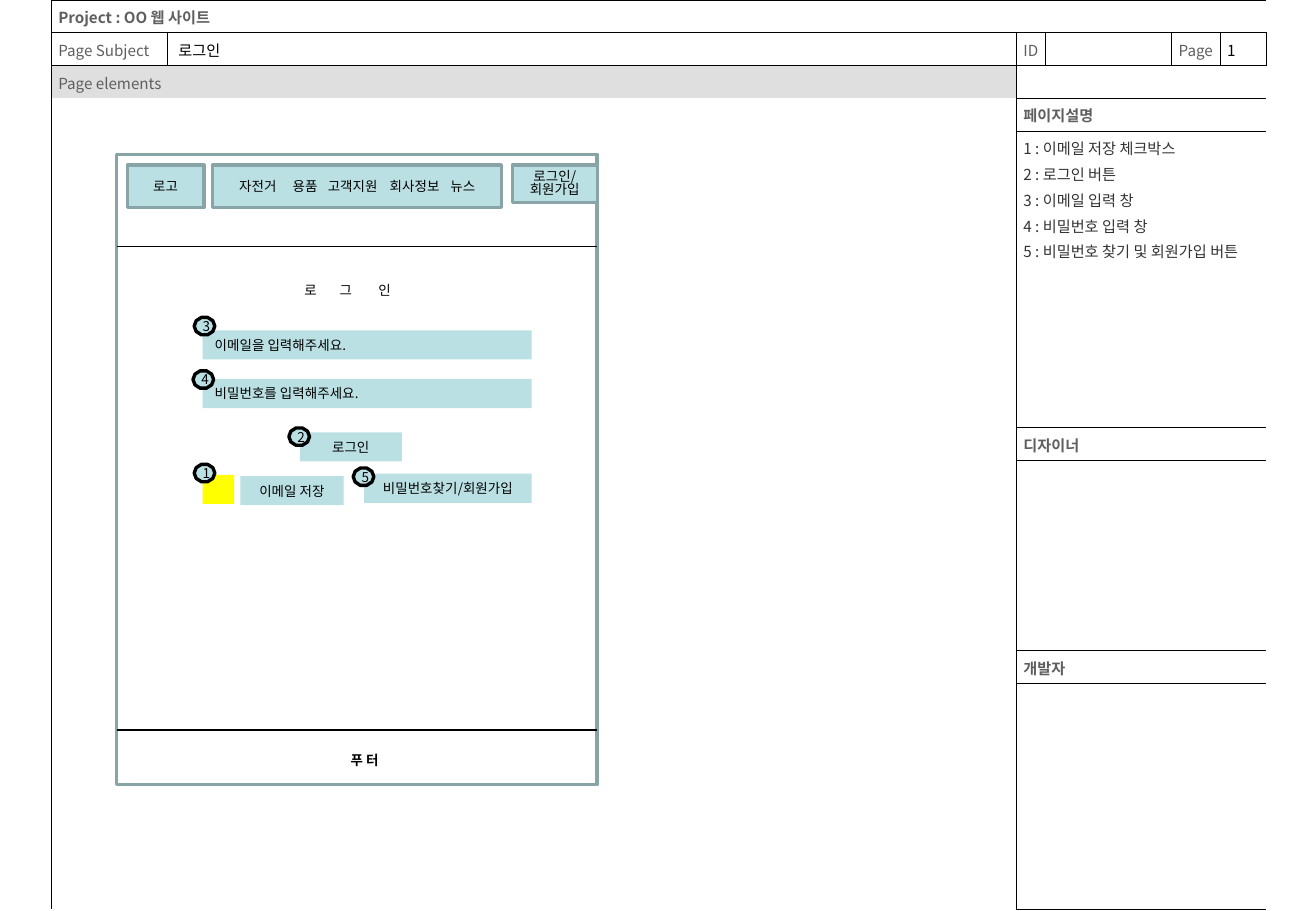
from dataclasses import dataclass
from math import cos, pi, sin

from lxml import etree
from pptx import Presentation
from pptx.dml.color import RGBColor
from pptx.enum.shapes import MSO_CONNECTOR, MSO_SHAPE
from pptx.enum.text import MSO_ANCHOR, PP_ALIGN
from pptx.oxml.ns import qn
from pptx.util import Inches, Pt

RECTANGLE = MSO_SHAPE.RECTANGLE
STRAIGHT = MSO_CONNECTOR.STRAIGHT
TOP, MIDDLE = MSO_ANCHOR.TOP, MSO_ANCHOR.MIDDLE
LEFT, CENTER = PP_ALIGN.LEFT, PP_ALIGN.CENTER


@dataclass(frozen=True)
class Theme:
    """Fonts, type sizes, line widths and colours of the wireframe."""
    font: str = "Noto Sans CJK KR"
    form_size: float = 9
    mockup_size: float = 8
    border: float = 0.45
    rule: float = 0.75
    outline: float = 2
    black: str = "000000"
    white: str = "FFFFFF"
    label: str = "5F5F5F"
    note: str = "333333"
    band: str = "DFDFDF"
    aqua: str = "BBE0E3"
    slate: str = "89A4A7"
    yellow: str = "FFFF00"


class WireframePage:
    """Draws form cells and mockup elements on one slide."""

    def __init__(self, page, theme):
        self.shapes = page.shapes
        self.theme = theme

    def set_text(self, frame, text, size, color, bold=False, align=LEFT,
                 gap=0, spacing=None, tabs=()):
        """Fill a text frame with one paragraph per line."""
        frame.word_wrap = True
        for index, line in enumerate(text.split("\n")):
            para = frame.paragraphs[0] if index == 0 else frame.add_paragraph()
            para.text = line
            para.alignment = align
            para.space_before = Pt(gap if index else 0)
            if spacing:
                para.line_spacing = spacing
            if tabs:
                stops = etree.SubElement(para._p.get_or_add_pPr(), qn("a:tabLst"))
                for stop in tabs:
                    etree.SubElement(stops, qn("a:tab"), pos=str(Inches(stop)), algn="l")
            font = para.font
            font.name, font.size, font.bold = self.theme.font, Pt(size), bold
            font.color.rgb = RGBColor.from_string(color)
            latin = para._p.pPr.find(qn("a:defRPr")).find(qn("a:latin"))
            east_asian = etree.Element(qn("a:ea"), typeface=self.theme.font)
            latin.addnext(east_asian)

    def paint(self, shape, fill, line=None):
        """Set the fill and outline of a shape and drop its shadow."""
        shape.shadow.inherit = False
        shape.fill.solid()
        shape.fill.fore_color.rgb = RGBColor.from_string(fill)
        if line:
            shape.line.color.rgb = RGBColor.from_string(line)
            shape.line.width = Pt(self.theme.outline)
        else:
            shape.line.fill.background()

    def box(self, area, fill, text="", line=None, align=CENTER, inset=0.1, **style):
        """Add a rectangle with optional text."""
        shape = self.shapes.add_shape(RECTANGLE, *map(Inches, area))
        self.paint(shape, fill, line)
        if text:
            self.place_text(shape.text_frame, text, inset, align=align, **style)

    def label(self, area, text, **style):
        """Add a text box."""
        box = self.shapes.add_textbox(*map(Inches, area))
        self.place_text(box.text_frame, text, 0.1, **style)

    def place_text(self, frame, text, inset, **style):
        """Set mockup text centred vertically in its frame."""
        frame.vertical_anchor = MIDDLE
        frame.margin_left = Inches(inset)
        frame.margin_top = frame.margin_bottom = 0
        self.set_text(frame, text, self.theme.mockup_size, self.theme.black, **style)

    def rule(self, left, right, top):
        """Add a horizontal line."""
        line = self.shapes.add_connector(STRAIGHT, *map(Inches, (left, top, right, top)))
        line.line.color.rgb = RGBColor.from_string(self.theme.black)
        line.line.width = Pt(self.theme.rule)
        etree.SubElement(line._element.spPr, qn("a:effectLst"))

    def marker(self, number, left, top, width=0.17, height=0.15):
        """Add a numbered ten-sided marker."""
        points = [(Inches(left + width / 2 * (1 - cos(step * pi / 5))),
                   Inches(top + height / 2 * (1 - sin(step * pi / 5))))
                  for step in range(10)]
        builder = self.shapes.build_freeform(*points[0])
        builder.add_line_segments(points[1:], close=True)
        shape = builder.convert_to_shape()
        self.paint(shape, self.theme.aqua, self.theme.black)
        shape.text_frame.margin_right = 0
        self.place_text(shape.text_frame, str(number), 0.03, align=CENTER)

    def form(self, left, top, columns, rows):
        """Add an unstyled table and return it."""
        area = map(Inches, (left, top, sum(columns), sum(rows)))
        table = self.shapes.add_table(len(rows), len(columns), *area).table
        table.first_row = table.horz_banding = False
        for column, width in zip(table.columns, columns):
            column.width = Inches(width)
        for row, height in zip(table.rows, rows):
            row.height = Inches(height)
        return table

    def field(self, table, first, last, text="", color=None, bold=False,
              fill=None, open_sides="", left=0.06, right=0.06, anchor=TOP):
        """Merge a block of cells, border its outer edges and set its text."""
        (top_row, left_column), (bottom_row, right_column) = first, last
        for row in range(top_row, bottom_row + 1):
            for column in range(left_column, right_column + 1):
                cell = table.cell(row, column)
                edges = {"L": column == left_column, "R": column == right_column,
                         "T": row == top_row, "B": row == bottom_row}
                for side, outer in edges.items():
                    self.border(cell, side, outer and side not in open_sides)
                if fill:
                    cell.fill.solid()
                    cell.fill.fore_color.rgb = RGBColor.from_string(fill)
                else:
                    cell.fill.background()
                cell.margin_left, cell.margin_right = Inches(left), Inches(right)
                cell.margin_top, cell.margin_bottom = Inches(0.05), Inches(0.03)
                cell.vertical_anchor = anchor
                self.set_text(cell.text_frame, text if (row, column) == first else "",
                              self.theme.form_size, color or self.theme.label, bold, gap=2.2)
        if first != last:
            table.cell(*first).merge(table.cell(*last))

    def border(self, cell, side, visible):
        """Draw or clear one side of a cell."""
        line = etree.SubElement(cell._tc.get_or_add_tcPr(), qn(f"a:ln{side}"),
                                w=str(Pt(self.theme.border)))
        if visible:
            solid = etree.SubElement(line, qn("a:solidFill"))
            etree.SubElement(solid, qn("a:srgbClr"), val=self.theme.black)
        else:
            etree.SubElement(line, qn("a:noFill"))


def draw_form(page, theme):
    """Draw the specification form around the mockup."""
    table = page.form(0.42, 0, [0.96, 6.99, 0.24, 1.04, 0.4, 0.38],
                      [0.27] * 4 + [2.44, 0.27, 1.57, 0.27, 1.86])
    notes = "\n".join(["1 : 이메일 저장 체크박스", "2 : 로그인 버튼", "3 : 이메일 입력 창",
                       "4 : 비밀번호 입력 창", "5 : 비밀번호 찾기 및 회원가입 버튼"])
    page.field(table, (0, 0), (0, 5), "Project : OO 웹 사이트", bold=True)
    page.field(table, (1, 0), (1, 0), "Page Subject")
    page.field(table, (1, 1), (1, 1), "로그인", theme.black, left=0.09)
    page.field(table, (1, 2), (1, 2), "ID", right=0.03)
    page.field(table, (1, 3), (1, 3))
    page.field(table, (1, 4), (1, 4), "Page", right=0.03)
    page.field(table, (1, 5), (1, 5), "1", theme.black, anchor=MIDDLE)
    page.field(table, (2, 0), (2, 1), "Page elements", fill=theme.band, open_sides="B")
    page.field(table, (3, 0), (8, 1), open_sides="T")
    page.field(table, (2, 2), (2, 5))
    sections = [("페이지설명", notes), ("디자이너", ""), ("개발자", "")]
    for row, (heading, body) in zip(range(3, 9, 2), sections):
        page.field(table, (row, 2), (row, 5), heading, bold=True)
        page.field(table, (row + 1, 2), (row + 1, 5), body, theme.note)


def draw_mockup(page, theme):
    """Draw the login screen mockup and its numbered markers."""
    page.box((0.96, 1.27, 3.96, 5.19), theme.white, line=theme.slate)
    for top in (2.03, 6.01):
        page.rule(0.96, 4.92, top)
    page.label((2.79, 6.14, 1.72, 0.24), "푸 터", bold=True)
    page.label((2.41, 2.27, 1.8, 0.24), "로\t그\t인", tabs=(0.29, 0.61))
    for top, prompt in ((2.72, "이메일을 입력해주세요."), (3.12, "비밀번호를 입력해주세요.")):
        page.box((1.67, top, 2.71, 0.24), theme.aqua, prompt, align=LEFT)
    page.box((2.47, 3.56, 0.84, 0.24), theme.aqua, "로그인")
    page.box((1.67, 3.91, 0.26, 0.24), theme.yellow)
    page.box((1.98, 3.92, 0.85, 0.24), theme.aqua, "이메일 저장")
    page.box((3, 3.9, 1.38, 0.24), theme.aqua, "비밀번호찾기/회원가입")
    page.box((1.05, 1.36, 0.63, 0.35), theme.aqua, "로고", theme.slate)
    page.box((1.75, 1.36, 2.38, 0.35), theme.aqua, "자전거\t용품\t고객지원\t회사정보\t뉴스",
             theme.slate, LEFT, 0.22, tabs=(0.44, 0.73, 1.24, 1.74))
    page.box((4.22, 1.36, 0.7, 0.31), theme.aqua, "로그인/\n회원가입", theme.slate, spacing=0.82)
    spots = [(1.6, 3.82), (2.38, 3.52), (1.6, 2.61), (1.59, 3.05), (2.91, 3.85)]
    for number, (left, top) in enumerate(spots, 1):
        page.marker(number, left, top)


def main():
    """Build and save the deck."""
    deck = Presentation()
    deck.slide_width, deck.slide_height = Inches(10.84), Inches(7.5)
    theme = Theme()
    page = WireframePage(deck.slides.add_slide(deck.slide_layouts[6]), theme)
    draw_form(page, theme)
    draw_mockup(page, theme)
    deck.save("out.pptx")


if __name__ == "__main__":
    main()
